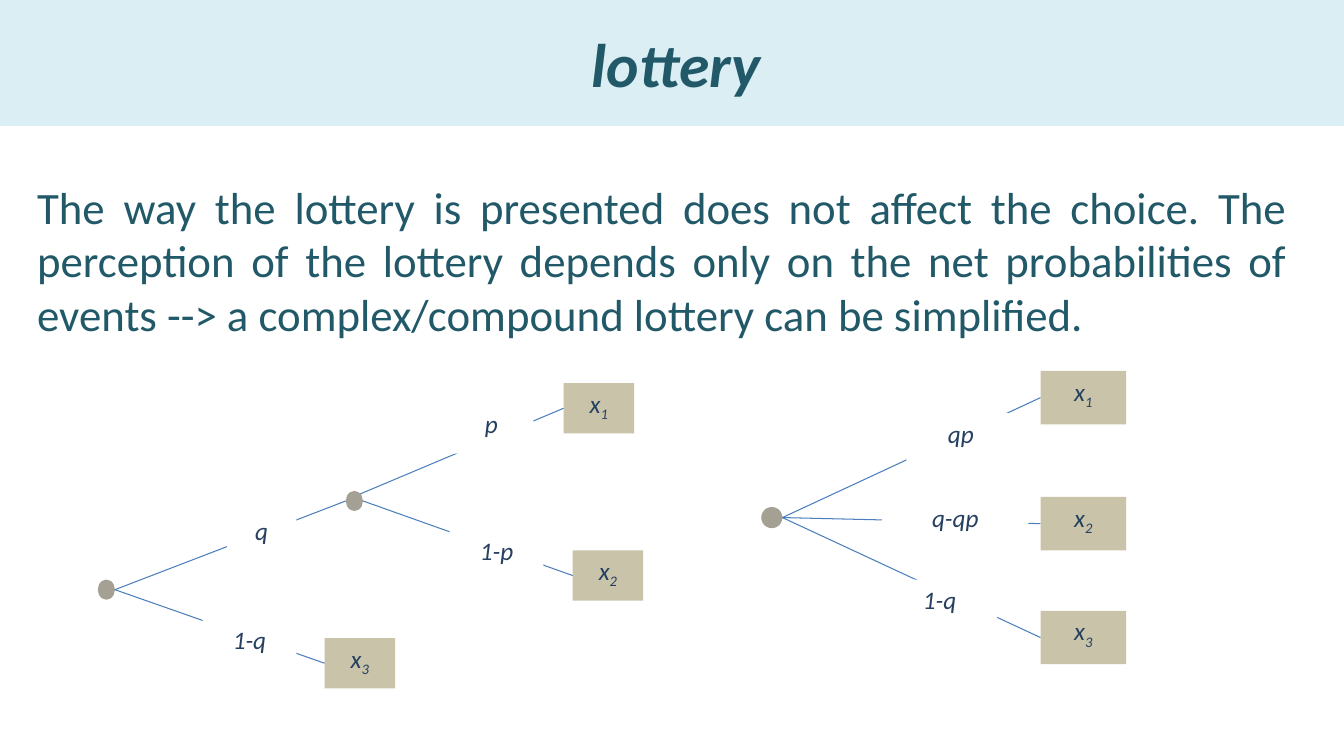
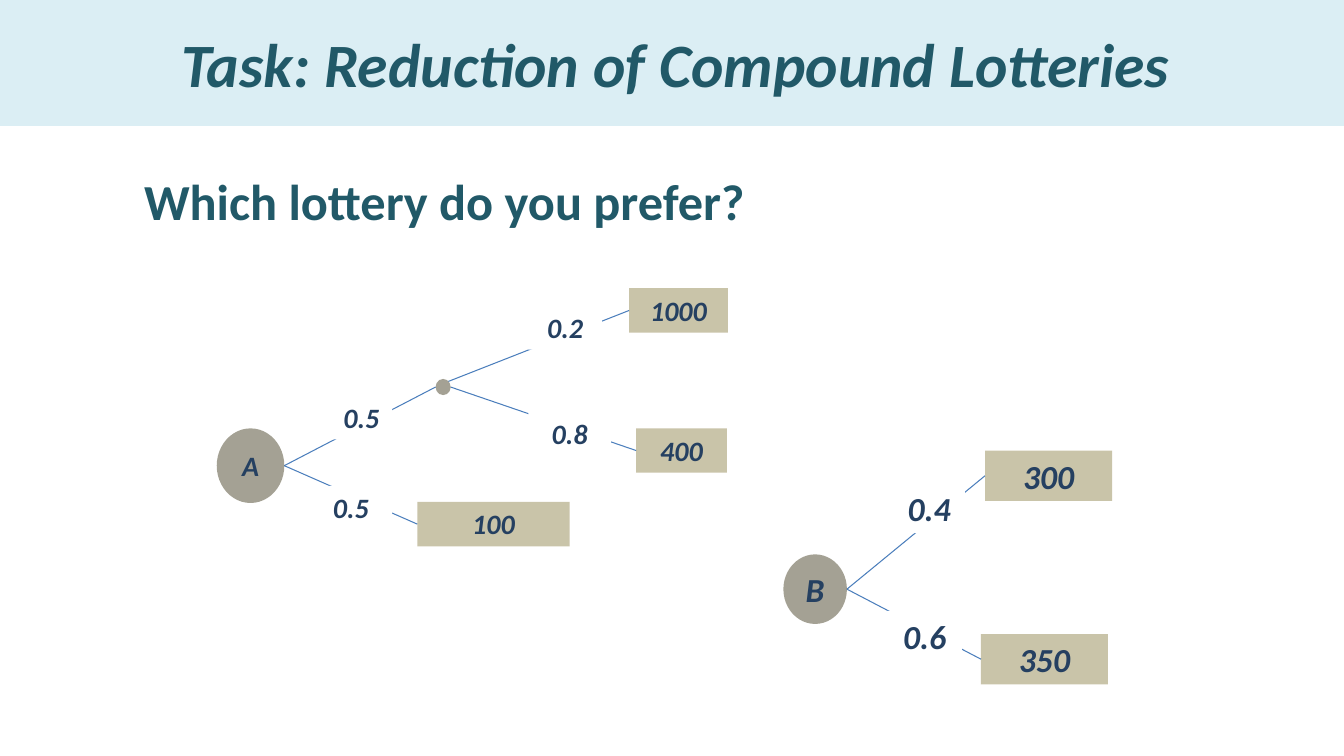
from lxml import etree
from pptx import Presentation
from pptx import util as u
from pptx.dml.color import RGBColor
from pptx.enum import shapes, text
from pptx.oxml.ns import qn

BAND, TEAL, NAVY = "DBEEF4", "215968", "254061"
NODE, OUTCOME, LABEL, BRANCH = "4A452A", "948A54", "FFFFFF", "4B7EBC"
FONT = "Calibri"
RECT, OVAL = shapes.MSO_SHAPE.RECTANGLE, shapes.MSO_SHAPE.OVAL
TOP, MIDDLE = text.MSO_ANCHOR.TOP, text.MSO_ANCHOR.MIDDLE
LEFT, CENTER, JUSTIFY = text.PP_ALIGN.LEFT, text.PP_ALIGN.CENTER, text.PP_ALIGN.JUSTIFY


def paint(fill, colour, opacity=100):
    fill.solid()
    fill.fore_color.rgb = RGBColor.from_string(colour)
    if opacity < 100:
        tone = fill._xPr.find(qn("a:solidFill"))[0]
        etree.SubElement(tone, qn("a:alpha")).set("val", str(opacity * 1000))


def write(box, words, size, colour, bold=False, italic=False,
          align=CENTER, anchor=TOP, wrap=True, subscript=""):
    frame = box.text_frame
    frame.word_wrap = wrap
    frame.vertical_anchor = anchor
    para = frame.paragraphs[0]
    para.alignment = align
    for part in filter(None, (words, subscript)):
        span = para.add_run()
        span.text = part
        span.font.name = FONT
        span.font.size = u.Pt(size)
        span.font.bold = bold
        span.font.italic = italic
        paint(span.font.fill, colour)
    if subscript:
        span.font._element.set("baseline", "-25000")


# nodes: left, top, width, height, name
# branches: node index, label (text, left, top, width), target (text, subscript, left, top, width)
pages = [
    {
        "title": "lottery",
        "body": ("The way the lottery is presented does not affect the choice. "
                 "The perception of the lottery depends only on the net probabilities "
                 "of events --> a complex/compound lottery can be simplified."),
        "place": (0.27, 1.73, 12.6, 1.72),
        "style": (32, False, JUSTIFY),
        "trees": [
            {
                "size": 18, "bold": False, "height": 0.5,
                "nodes": [(0.97, 5.75, 0.17, 0.2, ""), (3.43, 4.87, 0.17, 0.2, "")],
                "joint": ("q", 2.25, 5.06, 0.69),
                "branches": [
                    (0, ("1-q", 2.01, 6.14, 0.93), ("x", "3", 3.22, 6.33, 0.7)),
                    (1, ("p", 4.46, 4.0, 0.83), ("x", "1", 5.59, 3.8, 0.7)),
                    (1, ("1-p", 4.46, 5.26, 0.93), ("x", "2", 5.68, 5.46, 0.7)),
                ],
            },
            {
                "size": 18, "bold": False, "height": 0.53,
                "nodes": [(7.55, 5.03, 0.21, 0.21, "")],
                "branches": [
                    (0, ("qp", 8.99, 4.1, 1.08), ("x", "1", 10.32, 3.68, 0.85)),
                    (0, ("q-qp", 8.75, 4.93, 1.45), ("x", "2", 10.32, 4.93, 0.85)),
                    (0, ("1-q", 8.75, 5.75, 1.14), ("x", "3", 10.32, 6.06, 0.85)),
                ],
            },
        ],
    },
    {
        "title": "Task: Reduction of Compound Lotteries",
        "body": "Which lottery do you prefer?",
        "place": (1.33, 1.64, 6.35, 0.71),
        "style": (36, True, LEFT),
        "trees": [
            {
                "size": 24, "bold": True, "height": 0.5,
                "nodes": [(7.77, 5.5, 0.63, 0.69, "B")],
                "branches": [
                    (0, ("0.4", 8.86, 4.79, 0.71), ("300", "", 9.77, 4.47, 1.26)),
                    (0, ("0.6", 8.8, 6.06, 0.74), ("350", "", 9.73, 6.29, 1.26)),
                ],
            },
            {
                "size": 20, "bold": True, "height": 0.44,
                "nodes": [(2.15, 4.25, 0.67, 0.74, "A"), (4.32, 3.76, 0.15, 0.16, "")],
                "joint": ("0.5", 3.28, 3.92, 0.61),
                "branches": [
                    (0, ("0.5", 3.07, 4.82, 0.82), ("100", "", 4.14, 4.98, 1.51)),
                    (1, ("0.2", 5.24, 3.03, 0.73), ("1000", "", 6.24, 2.86, 0.98)),
                    (1, ("0.8", 5.24, 4.08, 0.82), ("400", "", 6.31, 4.25, 0.9)),
                ],
            },
        ],
    },
]

deck = Presentation()
deck.slide_width, deck.slide_height = u.Inches(13.33), u.Inches(7.5)

for content in pages:
    page = deck.slides.add_slide(deck.slide_layouts[6])

    band = page.shapes.add_shape(RECT, 0, 0, u.Inches(13.41), u.Inches(1.25))
    band.shadow.inherit = False
    paint(band.fill, BAND)
    band.line.fill.background()
    write(band, content["title"], 44, TEAL, True, True, anchor=MIDDLE)

    body = page.shapes.add_textbox(*map(u.Inches, content["place"]))
    size, bold, align = content["style"]
    write(body, content["body"], size, TEAL, bold, align=align)

    for tree in content["trees"]:
        nodes, height = tree["nodes"], tree["height"]
        lines, labels, outcomes = [], [], []

        if "joint" in tree:
            (left, top, width, tall, _), (x, y, _, h, _) = nodes
            lines.append((left + width, top + tall / 2, x, y + h / 2))
            words, x, y, w = tree["joint"]
            labels.append((RECT, (x, y, w, height), LABEL, 100, words, "", TOP))

        for index, (words, x, y, w), (result, sub, end_x, end_y, end_w) in tree["branches"]:
            left, top, width, tall, _ = nodes[index]
            start_x, start_y = left + width, top + tall / 2
            if index and end_y < top:
                start_x -= 0.15 * width
                start_y -= 0.35 * tall
            lines.append((start_x, start_y, end_x, end_y + height / 2))
            labels.append((RECT, (x, y, w, height), LABEL, 100, words, "", TOP))
            outcomes.append((RECT, (end_x, end_y, end_w, height), OUTCOME, 50, result, sub, TOP))

        for ends in lines:
            branch = page.shapes.add_connector(shapes.MSO_CONNECTOR.STRAIGHT, *map(u.Inches, ends))
            paint(branch.line.fill, BRANCH)
            branch.line.width = u.Pt(0.75)
            etree.SubElement(branch._element.spPr, qn("a:effectLst"))

        circles = [(OVAL, node[:4], NODE, 50, node[4], "", MIDDLE) for node in nodes]
        for kind, place, colour, opacity, words, sub, anchor in circles + labels + outcomes:
            box = page.shapes.add_shape(kind, *map(u.Inches, place))
            box.shadow.inherit = False
            paint(box.fill, colour, opacity)
            box.line.fill.background()
            if words:
                write(box, words, tree["size"], NAVY, tree["bold"], True,
                      anchor=anchor, wrap=False, subscript=sub)

deck.save("out.pptx")
